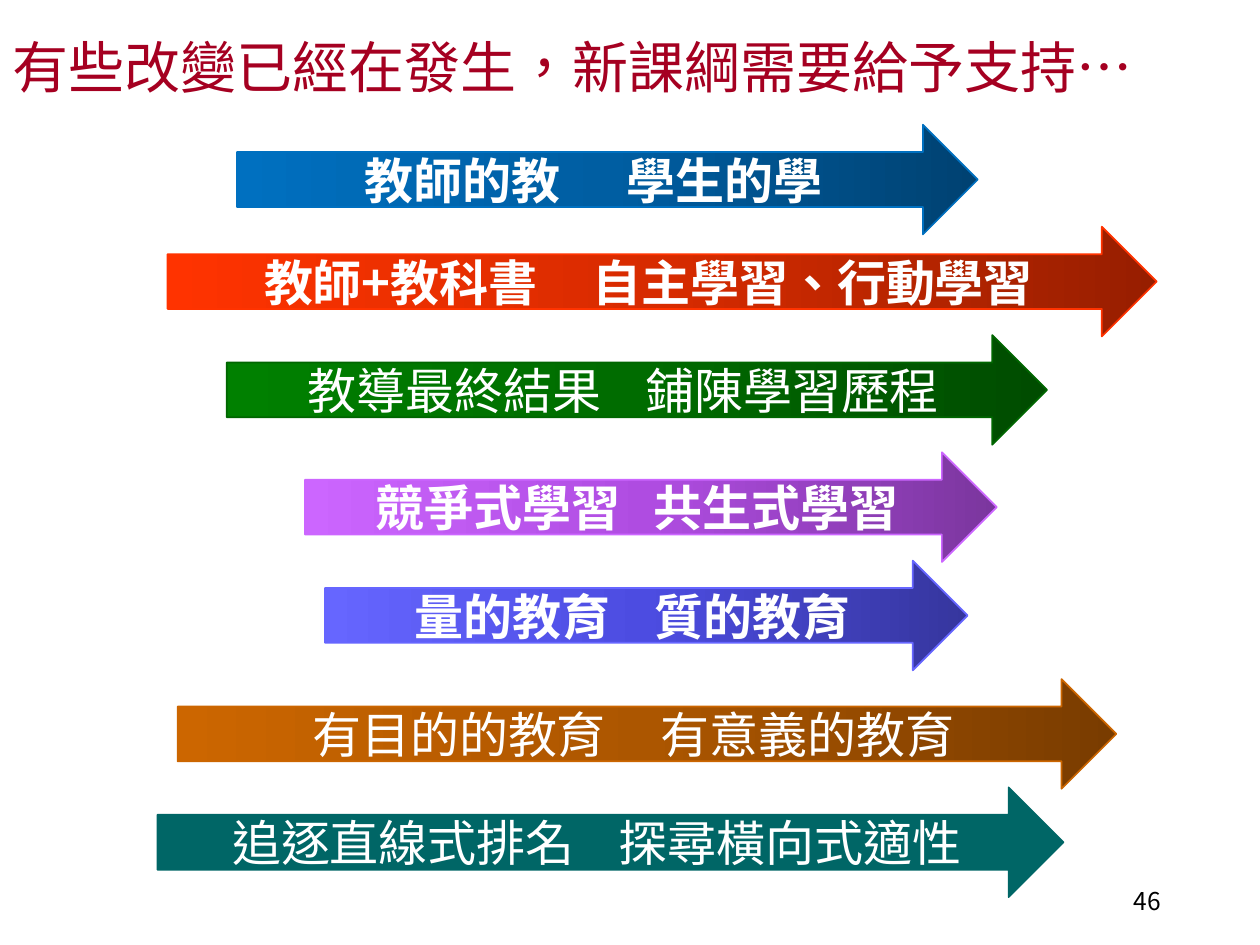
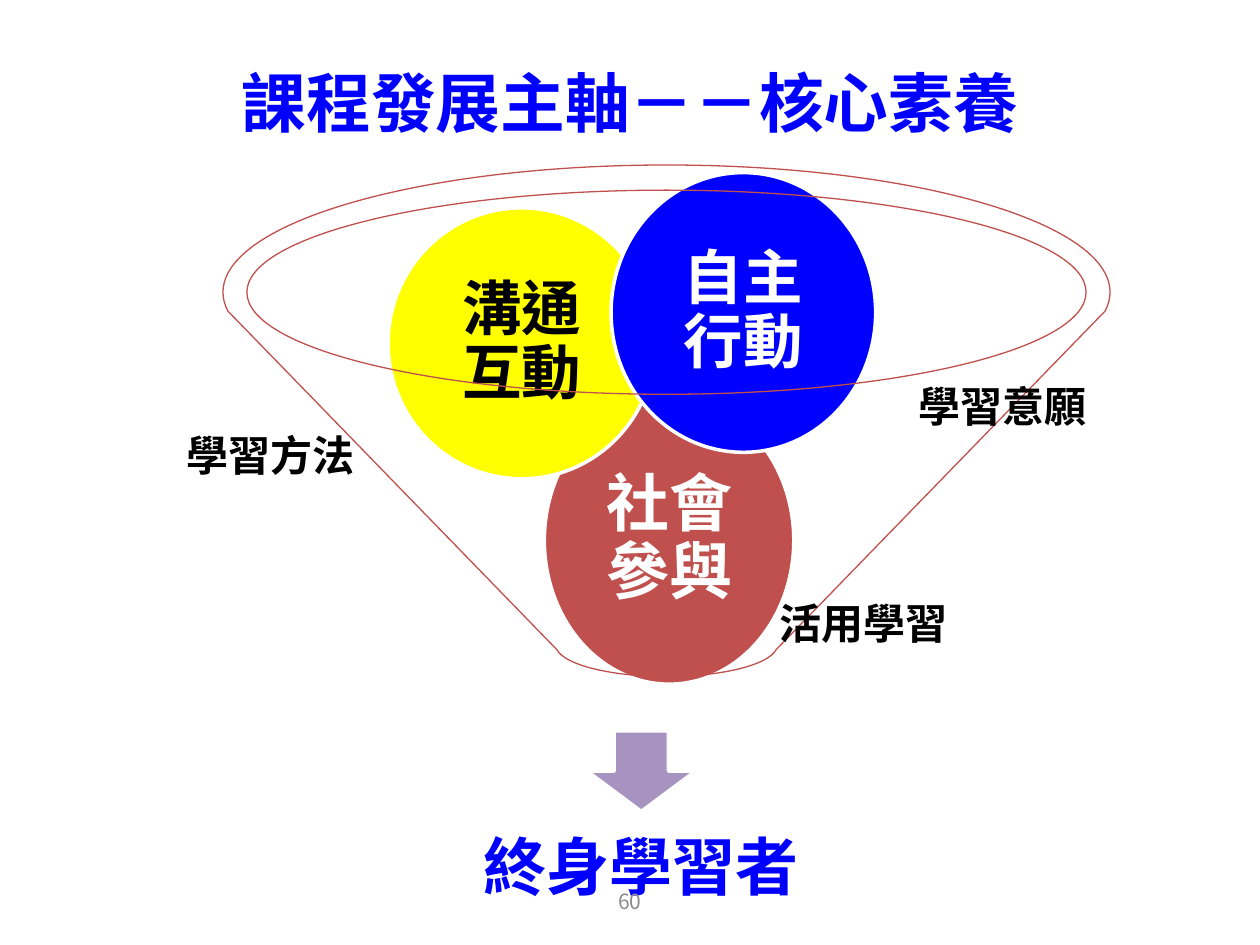
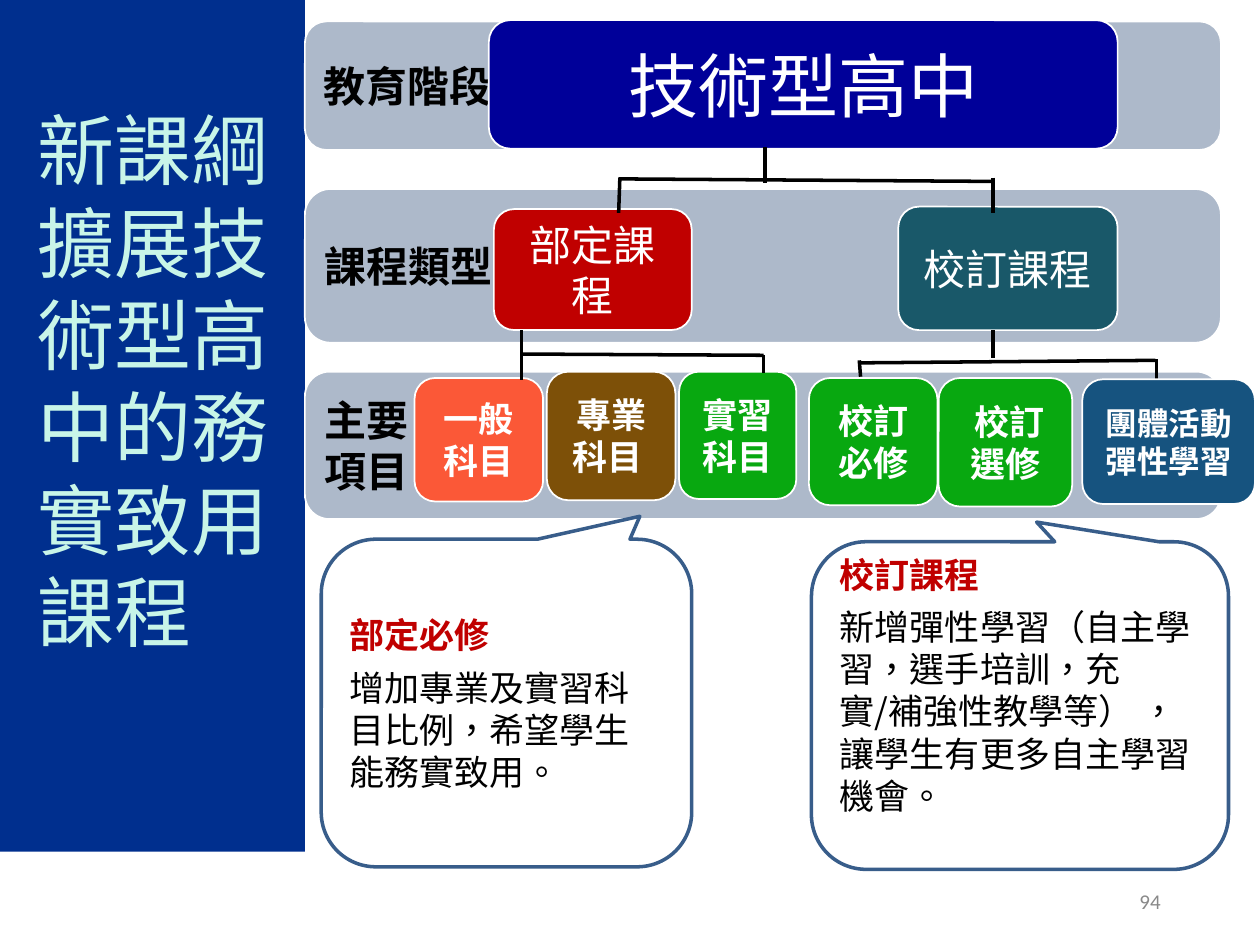
from copy import deepcopy
from dataclasses import dataclass
from itertools import islice, pairwise
from math import cos, radians, sin, tan

from lxml import etree
from pptx import Presentation
from pptx import util as u
from pptx.dml.color import RGBColor
from pptx.enum import shapes, text
from pptx.oxml.ns import qn

CJK = "Noto Sans CJK SC"
KIND = shapes.MSO_SHAPE
LEFT, MID, RIGHT = text.PP_ALIGN.LEFT, text.PP_ALIGN.CENTER, text.PP_ALIGN.RIGHT
PAD = (0.1, 0.05, 0.1, 0.05)
SNUG = (0.05, 0.05, 0.05, 0.05)

HUES = {
    "white": "FFFFFF", "black": "000000", "crimson": "A50021",
    "blue": "0000FF", "yellow": "FFFF00", "brick": "BF504D", "mauve": "A793BF",
    "navy": "002F8E", "mint": "C8F5E8", "band": "ADB9CA", "edge": "385D8A",
    "red": "C00000", "brown": "7D5008", "green": "08A810", "coral": "FB5837",
    "teal": "195869", "royal": "000099", "steel": "16537F",
    "gray": "8C8C8C", "dim": "898989", "pine": "006666", "leaf": "006600",
    "sky0": "004272", "sky1": "005EA2", "sky2": "0070C0",
    "fire0": "971E00", "fire1": "D72B00", "fire2": "FF3300",
    "moss0": "004C00", "moss1": "006C00", "moss2": "008000",
    "plum0": "7B369E", "plum1": "AF4CE1", "plum2": "CC66FF",
    "iris0": "36369E", "iris1": "4C4CE1", "iris2": "6666FF",
    "rust0": "793C00", "rust1": "AC5600", "rust2": "CC6600",
}

Box = tuple[float, float, float, float]
Spot = tuple[int, int]


@dataclass
class Arrow:
    left: float
    top: float
    width: float
    hue: str
    edge: str
    words: str
    gap: float
    bold: bool = True


@dataclass
class Node:
    box: Box
    hue: str
    words: str
    size: float
    bold: bool = True
    ink: str = "white"
    align: text.PP_ALIGN = MID


@dataclass
class Label:
    box: Box
    words: str
    align: text.PP_ALIGN = LEFT


@dataclass
class Callout:
    box: Box
    tip: tuple[float, float]
    head: str
    body: str
    base: float = 0.05


ARROWS = [
    Arrow(1.88, 0.99, 5.88, "sky", "sky2", "教師的教|學生的學", 31.5),
    Arrow(1.33, 1.8, 7.85, "fire", "fire2", "教師+教科書|自主學習、行動學習", 25),
    Arrow(1.8, 2.66, 6.51, "moss", "leaf", "教導最終結果|鋪陳學習歷程", 19, False),
    Arrow(2.42, 3.59, 5.49, "plum", "plum2", "競爭式學習|共生式學習", 12.5),
    Arrow(2.58, 4.45, 5.1, "iris", "iris2", "量的教育|質的教育", 19),
    Arrow(1.41, 5.39, 7.45, "rust", "rust2", "有目的的教育|有意義的教育", 25, False),
    Arrow(1.25, 6.25, 7.19, "pine", "pine", "追逐直線式排名|探尋橫向式適性", 19, False),
]

CIRCLES = [
    Node((4.32, 3.15, 1.98, 2.28), "brick", "社會參與", 36),
    Node((3.08, 1.65, 2.12, 2.15), "yellow", "溝通互動", 34, ink="black"),
    Node((4.85, 1.37, 2.1, 2.22), "blue", "自主行動", 34),
]

LABELS = [
    Label((7.19, 2.97, 1.8, 0.51), "學習意願"),
    Label((1.25, 3.36, 1.8, 0.51), "學習方法", MID),
    Label((6.09, 4.69, 1.8, 0.51), "活用學習"),
]

BANDS = [
    Node((2.42, top, 7.27, height), "band", words, 24, ink="black", align=LEFT)
    for top, height, words in [
        (2.95, 1.17, "主要\n項目"),
        (1.5, 1.22, "課程類型"),
        (0.17, 1.02, "教育階段"),
    ]
]

NODES = [
    Node((3.92, 1.66, 1.57, 0.96), "red", "部定課程", 24, False),
    Node((4.34, 2.95, 1.02, 1.02), "brown", "專業\n科目 ", 20),
    Node((5.39, 2.95, 0.93, 1.01), "green", "實習\n科目", 20),
    Node((7.45, 3, 1.06, 1.02), "green", " 校訂\n選修", 20),
    Node((3.29, 3, 1.02, 0.98), "coral", "一般\n科目", 20),
    Node((7.13, 1.64, 1.74, 0.98), "teal", "校訂課程", 24, False),
    Node((3.88, 0.16, 4.99, 1.02), "royal", "技術型高中", 40, False),
    Node((6.42, 3, 1.02, 1.01), "green", "校訂\n必修", 20),
]
CLUBS = Node((8.59, 3.01, 1.37, 0.99), "steel", "團體活動\n彈性學習", 18)

LINKS = [
    (6.07, 1.17, 6.07, 1.45), (4.91, 1.42, 7.88, 1.44),
    (7.88, 1.41, 7.88, 1.69), (4.92, 1.41, 4.91, 1.69),
    (6.82, 2.86, 6.83, 2.99), (4.14, 2.62, 4.14, 3.02),
    (6.82, 2.88, 9.17, 2.86), (9.18, 2.85, 9.18, 3.13),
    (7.88, 2.62, 7.88, 2.84), (4.14, 2.81, 6.06, 2.82),
    (6.06, 2.82, 6.06, 2.96),
]

CALLOUTS = [
    Callout((2.55, 4.28, 2.94, 2.6), (0.36, -0.57), "部定必修",
            "增加專業及實習科目比例，希望學生能務實致用。"),
    Callout((6.44, 4.3, 3.31, 2.6), (0.04, -0.56), "校訂課程",
            "新增彈性學習（自主學習，選手培訓，充實/補強性教學等） ，讓學生有更多自主學習機會。",
            0.38),
]


def tint(name: str) -> RGBColor:
    return RGBColor.from_string(HUES[name])


def place(box: Box) -> list[u.Length]:
    return [u.Inches(side) for side in box]


def frame(shape, pad: Box = PAD, anchor=text.MSO_ANCHOR.MIDDLE) -> None:
    """Set wrapping, anchor and insets of a shape's text."""
    body = shape.text_frame
    body.word_wrap = True
    body.vertical_anchor = anchor
    (body.margin_left, body.margin_top,
     body.margin_right, body.margin_bottom) = place(pad)


def write(shape, words: str, *, size: float, ink: str = "black", bold: bool = False,
          align=LEFT, font: str = CJK, before: float = 0, lead: float = 1,
          gap: float = 0) -> None:
    """Add a paragraph per line; each "|" becomes one space widened by gap points."""
    body = shape.text_frame
    for line in words.split("\n"):
        para = body.paragraphs[0]
        if para.runs:
            para = body.add_paragraph()
            para.space_before = u.Pt(before)
        para.alignment = align
        para.line_spacing = lead
        for piece in line.replace("|", "| |").split("|"):
            run = para.add_run()
            run.text = piece
            run.font.size = u.Pt(size)
            run.font.bold = bold
            run.font.name = font
            run.font.color.rgb = tint(ink)
            props = run.font._element
            props.set("lang", "zh-TW")
            etree.SubElement(props, qn("a:ea")).set("typeface", font)
            if gap and piece == " ":
                props.set("spc", str(int(gap * 100)))


def label(slide, box: Box, words: str, pad: Box = PAD,
          anchor=text.MSO_ANCHOR.MIDDLE, **style) -> None:
    shape = slide.shapes.add_textbox(*place(box))
    frame(shape, pad, anchor)
    write(shape, words, **style)


def outline(shape, edge: str | None, weight: float) -> None:
    shape.shadow.inherit = False
    if edge:
        shape.line.color.rgb = tint(edge)
        shape.line.width = u.Pt(weight)
    else:
        shape.line.fill.background()


def block(slide, kind, box: Box, hue: str, edge: str | None = "white",
          weight: float = 1, pad: Box = PAD):
    """Draw a preset shape; a hue with numbered shades gives a gradient."""
    shape = slide.shapes.add_shape(kind, *place(box))
    outline(shape, edge, weight)
    if hue in HUES:
        shape.fill.solid()
        shape.fill.fore_color.rgb = tint(hue)
    else:
        shape.fill.gradient()
        shape.fill.gradient_angle = 180
        stops = next(shape._element.iter(qn("a:gsLst")))
        stops.insert(1, deepcopy(stops[0]))
        for step, stop in enumerate(shape.fill.gradient_stops):
            stop.position = step / 2
            stop.color.rgb = tint(f"{hue}{step}")
    frame(shape, pad)
    return shape


def draw_node(slide, kind, node: Node, weight: float = 1, pad: Box = PAD,
              lead: float = 1) -> None:
    shape = block(slide, kind, node.box, node.hue, weight=weight, pad=pad)
    write(shape, node.words, size=node.size, ink=node.ink, bold=node.bold,
          align=node.align, lead=lead)


def link(slide, ends: Box) -> None:
    line = slide.shapes.add_connector(shapes.MSO_CONNECTOR.STRAIGHT, *place(ends))
    line.line.color.rgb = tint("black")
    line.line.width = u.Pt(2)
    etree.SubElement(line._element.spPr, qn("a:effectLst"))


def draw_call(slide, call: Callout) -> None:
    shape = block(slide, KIND.ROUNDED_RECTANGULAR_CALLOUT, call.box, "white",
                  "edge", 2, (*PAD[:3], call.base))
    for spot, value in enumerate(call.tip):
        shape.adjustments[spot] = value
    write(shape, call.head, size=20, ink="red", bold=True)
    write(shape, call.body, size=20, before=6)


def arc(mid: tuple[float, float], wide: float, high: float,
        *cuts: float) -> list[list[Spot]]:
    """Start of an elliptic arc, then one Bézier curve for each pair of cut angles."""
    def spot(turn: float, pull: float = 0) -> Spot:
        return (u.Inches(mid[0] + wide * (cos(turn) - pull * sin(turn))),
                u.Inches(mid[1] + high * (sin(turn) + pull * cos(turn))))

    turns = [radians(cut) for cut in cuts]
    parts = [[spot(turns[0])]]
    for start, end in pairwise(turns):
        pull = 4 / 3 * tan((end - start) / 4)
        parts.append([spot(start, pull), spot(end, -pull), spot(end)])
    return parts


def bend(shape, parts: list[list[Spot]]) -> None:
    """Turn each three-point part of a freeform into a Bézier curve."""
    lines = iter(list(shape._element.iter(qn("a:lnTo"))))
    for part in parts:
        first, *rest = islice(lines, len(part))
        if rest:
            first.tag = qn("a:cubicBezTo")
        for line in rest:
            first.append(line[0])
            line.getparent().remove(line)


def funnel(slide) -> None:
    rim = (5.29, 2.32)
    tilt = 8.5
    outer = (arc(rim, 3.52, 1.01, 180 - tilt, 180, 270, 360, 360 + tilt)
             + arc((5.29, 5.12), 0.88, 0.25, tilt, 90, 180 - tilt))
    inner = arc(rim, 3.33, 0.81, 180, 270, 360, 450, 540)
    pen = slide.shapes.build_freeform(*outer[0][0])
    pen.add_line_segments(sum(outer[1:], []), close=True)
    pen.move_to(*inner[0][0])
    pen.add_line_segments(sum(inner[1:], []), close=True)
    shape = pen.convert_to_shape()
    bend(shape, outer[1:] + inner[1:])
    shape.fill.background()
    outline(shape, "brick", 0.75)


def number(slide, words: str, left: float = 7.06, width: float = 2.25, **style) -> None:
    label(slide, (left, 6.95, width, 0.4), words, **{"align": RIGHT, "size": 12, **style})


def changes(slide) -> None:
    label(slide, (0, 0.13, 9.77, 0.85), "有些改變已經在發生，新課綱需要給予支持…",
          size=32, ink="crimson", lead=0.9)
    number(slide, "46", size=14)
    for item in ARROWS:
        shape = block(slide, KIND.RIGHT_ARROW, (item.left, item.top, item.width, 0.87),
                      item.hue, item.edge)
        write(shape, item.words, size=28, ink="white", bold=item.bold,
              align=MID, gap=item.gap)


def core(slide) -> None:
    block(slide, KIND.DOWN_ARROW, (4.66, 5.8, 0.86, 0.64), "mauve", weight=2)
    label(slide, (3.03, 6.31, 4.12, 1.19), "終身學習者", (0.28,) * 4,
          size=36, ink="blue", bold=True, align=MID, lead=0.9)
    for node in CIRCLES:
        draw_node(slide, KIND.OVAL, node, 2, SNUG, 0.9)
    funnel(slide)
    for item in LABELS:
        label(slide, item.box, item.words, anchor=text.MSO_ANCHOR.TOP,
              size=24, bold=True, align=item.align)
    label(slide, (0.5, 0.31, 9, 0.99), "課程發展主軸－－核心素養",
          size=37, ink="blue", bold=True, align=MID)
    number(slide, "60", 3.31, 3.38, ink="gray", align=MID)


def courses(slide) -> None:
    panel = block(slide, KIND.RECTANGLE, (0, 0, 2.42, 6.76), "navy", None,
                  pad=(0.3, 0.05, 0.1, 0.78))
    write(panel, "新課綱擴展技術型高中的務實致用課程", size=44, ink="mint")
    for node in BANDS + NODES:
        draw_node(slide, KIND.ROUNDED_RECTANGLE, node)
    for ends in LINKS:
        link(slide, ends)
    draw_node(slide, KIND.ROUNDED_RECTANGLE, CLUBS)
    for call in CALLOUTS:
        draw_call(slide, call)
    number(slide, "94", ink="dim", font="Calibri")


def main() -> None:
    deck = Presentation()
    deck.slide_width, deck.slide_height = u.Inches(10), u.Inches(7.5)
    for build in (changes, core, courses):
        build(deck.slides.add_slide(deck.slide_layouts[6]))
    deck.save("out.pptx")


if __name__ == "__main__":
    main()
